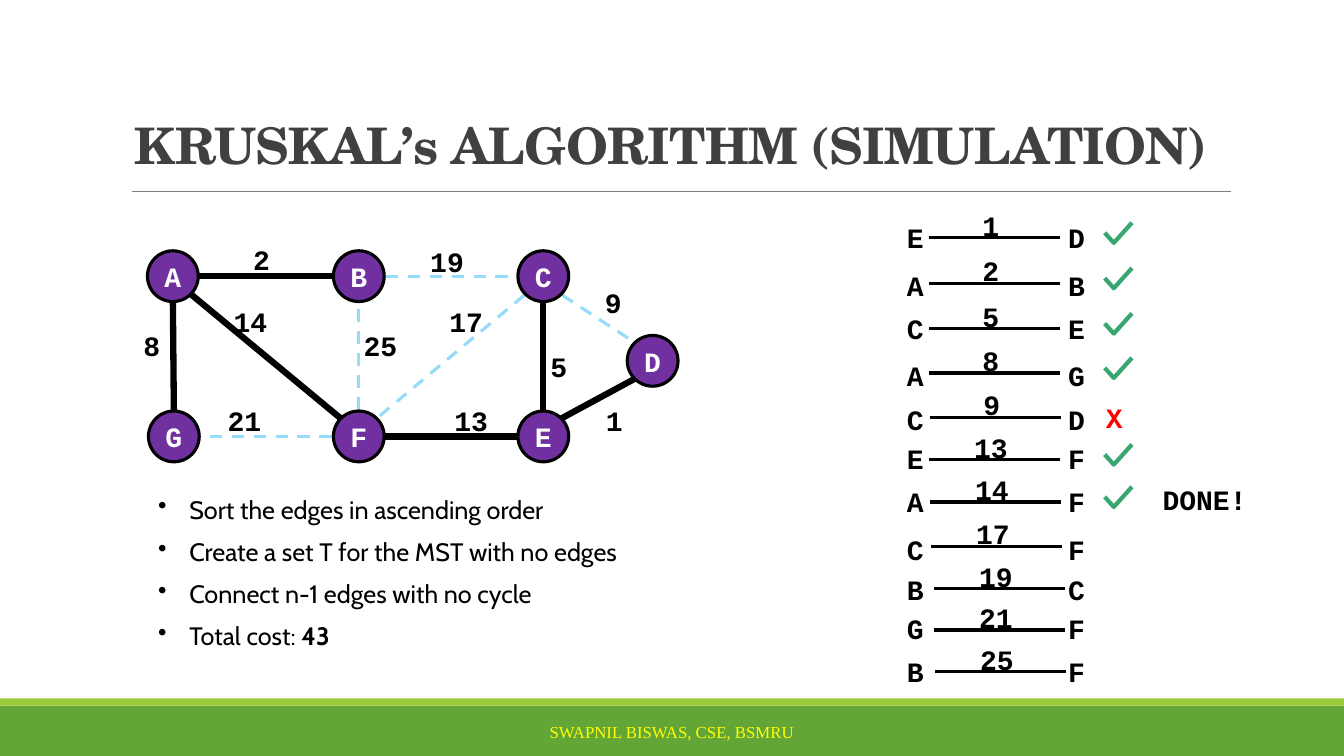
import math

import pptx
import pptx.dml.color
import pptx.enum.dml
import pptx.enum.shapes
import pptx.enum.text
import pptx.util
from lxml import etree

RGBColor = pptx.dml.color.RGBColor
Align = pptx.enum.text.PP_ALIGN
Anchor = pptx.enum.text.MSO_ANCHOR
Shape = pptx.enum.shapes.MSO_SHAPE

BLACK = RGBColor(0x00, 0x00, 0x00)
WHITE = RGBColor(0xFF, 0xFF, 0xFF)
CHARCOAL = RGBColor(0x40, 0x40, 0x40)
GRAY = RGBColor(0x80, 0x80, 0x80)
GREEN = RGBColor(0x63, 0xA5, 0x37)
LIME = RGBColor(0x99, 0xCB, 0x38)
PURPLE = RGBColor(0x70, 0x30, 0xA0)
SKY = RGBColor(0x97, 0xDB, 0xFB)
TICK_GREEN = RGBColor(0x37, 0xA7, 0x6F)
RED = RGBColor(0xFF, 0x00, 0x00)
YELLOW = RGBColor(0xFF, 0xFF, 0x00)

# The grid has square cells, ten to the inch
COLUMNS, ROWS = 133.33, 75
NODE_SIZE = 5.04
LABEL_HEIGHT = 4.4

# Node centres as (column, row)
NODES = {
    "A": (17.15, 27.4), "B": (35.6, 27.4), "C": (53.9, 27.4),
    "D": (64.75, 35.8), "E": (53.9, 43.3), "F": (35.6, 43.3),
    "G": (17.25, 43.3),
}

# Graph edges: ends, weight, label centre, whether in the tree
EDGES = [
    ("AB", 2, (25.95, 25.75), True), ("BC", 19, (44.35, 25.95), False),
    ("CD", 9, (60.85, 30.05), False), ("ED", 1, (60.95, 41.75), True),
    ("CE", 5, (55.45, 36.35), True), ("FE", 13, (46.75, 41.75), True),
    ("CF", 17, (46.25, 31.95), False), ("FB", 25, (37.75, 34.25), False),
    ("AF", 14, (24.85, 31.95), True), ("AG", 8, (15.05, 34.25), True),
    ("FG", 21, (24.25, 41.75), False),
]

# Sorted edges: ends, weight, line start, line row, letter row, mark
SORTED_EDGES = [
    ("ED", 1, 92.2, 23.6, 23.6, "tick"), ("AB", 2, 92.2, 28.1, 28.3, "tick"),
    ("CE", 5, 92.2, 32.6, 32.6, "tick"), ("AG", 8, 92.2, 37.0, 37.3, "tick"),
    ("CD", 9, 92.3, 41.4, 41.6, "cross"), ("EF", 13, 92.2, 45.6, 45.5, "tick"),
    ("AF", 14, 92.3, 49.8, 49.8, "tick"), ("CF", 17, 92.4, 54.2, 54.5, ""),
    ("BC", 19, 92.7, 58.4, 58.5, ""), ("GF", 21, 92.7, 62.5, 62.4, ""),
    ("BF", 25, 92.8, 66.6, 66.6, ""),
]

STEPS = [
    [("Sort the edges in ascending order", False)],
    [("Create a set T for the MST with no edges", False)],
    [("Connect n-1 edges with no cycle", False)],
    [("Total cost: ", False), ("43", True)],
]


def grid(cells):
    return pptx.util.Inches(cells / 10)


class Page:
    """The current slide with the style of its elements."""

    title_font, body_font = "TeX Gyre Schola", "Cabin"
    label_font, footer_font = "Courier New", "Times New Roman"

    def __init__(self, deck):
        self.shapes = deck.slides.add_slide(deck.slide_layouts[6]).shapes

    def style(self, para, name, size, color, bold=False):
        font = para.font
        font.name, font.size, font.bold = name, pptx.util.Pt(size), bold
        font.color.rgb = color

    def shape(self, kind, left, top, width, height, fill):
        shape = self.shapes.add_shape(kind, *map(grid, (left, top, width, height)))
        shape.shadow.inherit = False
        shape.fill.solid()
        shape.fill.fore_color.rgb = fill
        shape.line.fill.background()
        return shape

    def text(self, left, top, width, height, words, name, size, color,
             bold=False, align=Align.LEFT, anchor=Anchor.TOP, wrap=True):
        box = self.shapes.add_textbox(*map(grid, (left, top, width, height)))
        frame = box.text_frame
        frame.word_wrap, frame.vertical_anchor = wrap, anchor
        para = frame.paragraphs[0]
        para.text, para.alignment = words, align
        self.style(para, name, size, color, bold)
        return para

    def label(self, column, row, words, color=BLACK):
        width = 2 + 1.67 * len(words)
        self.text(column - width / 2, row - LABEL_HEIGHT / 2, width, LABEL_HEIGHT,
                  words, self.label_font, 20, color, True, Align.CENTER, wrap=False)

    def line(self, start, end, color, weight, dashed=False):
        line = self.shapes.add_connector(pptx.enum.shapes.MSO_CONNECTOR.STRAIGHT,
                                         *map(grid, (*start, *end)))
        line.line.color.rgb, line.line.width = color, pptx.util.Pt(weight)
        if dashed:
            line.line.dash_style = pptx.enum.dml.MSO_LINE.DASH
        etree.SubElement(line._element.spPr, pptx.oxml.ns.qn("a:effectLst"))

    def edge(self, ends, in_tree):
        # Edges leave a node at the nearest eighth of its circle
        start, end = NODES[ends[0]], NODES[ends[1]]
        turn = math.atan2(end[1] - start[1], end[0] - start[0])
        turn = round(turn / (math.pi / 4)) * math.pi / 4
        reach = NODE_SIZE / 2 + (0 if in_tree else 0.15)
        across, down = reach * math.cos(turn), reach * math.sin(turn)
        self.line((start[0] + across, start[1] + down),
                  (end[0] - across, end[1] - down),
                  BLACK if in_tree else SKY, 4.5 if in_tree else 2.25, not in_tree)

    def node(self, name):
        column, row = NODES[name]
        node = self.shape(Shape.OVAL, column - NODE_SIZE / 2, row - NODE_SIZE / 2,
                          NODE_SIZE, NODE_SIZE, PURPLE)
        node.line.color.rgb, node.line.width = BLACK, pptx.util.Pt(2.25)
        frame = node.text_frame
        frame.margin_left = frame.margin_right = 0
        frame.margin_top = frame.margin_bottom = 0
        frame.word_wrap, frame.vertical_anchor = False, Anchor.MIDDLE
        para = frame.paragraphs[0]
        para.text, para.alignment = name, Align.CENTER
        self.style(para, self.label_font, 20, WHITE, True)

    def tick(self, column, row):
        outline = self.shapes.build_freeform(grid(column), grid(row - 0.5))
        outline.add_line_segments([(grid(column + 0.9), grid(row + 0.5)),
                                   (grid(column + 2.7), grid(row - 1.5))], close=False)
        tick = outline.convert_to_shape()
        tick.shadow.inherit = False
        tick.fill.background()
        tick.line.color.rgb, tick.line.width = TICK_GREEN, pptx.util.Pt(3)

    def bullets(self, left, top, width, height, items):
        box = self.shapes.add_textbox(*map(grid, (left, top, width, height)))
        frame = box.text_frame
        frame.word_wrap = True
        for index, item in enumerate(items):
            para = frame.add_paragraph() if index else frame.paragraphs[0]
            if index:
                para.space_before = pptx.util.Pt(8.5)
            properties = para._p.get_or_add_pPr()
            properties.set("marL", str(grid(3.1)))
            properties.set("indent", str(grid(-3.1)))
            bullet = etree.SubElement(properties, pptx.oxml.ns.qn("a:buChar"))
            bullet.set("char", "•")
            for words, bold in item:
                span = para.add_run()
                span.text = words
                if bold:
                    span.font.bold = True
            self.style(para, self.body_font, 18, BLACK)


def main():
    deck = pptx.Presentation()
    deck.slide_width, deck.slide_height = grid(COLUMNS), grid(ROWS)
    page = Page(deck)

    # Footer bands, title and rule
    page.shape(Shape.RECTANGLE, 0, 70, COLUMNS, 5, GREEN)
    page.shape(Shape.RECTANGLE, 0, 69.3, COLUMNS, 0.7, LIME)
    page.line((13.1, 19), (122.1, 19), GRAY, 0.5)
    title = page.text(12.4, 1.9, 114.6, 15.9, "KRUSKAL’s ALGORITHM (SIMULATION)",
                      page.title_font, 36, CHARCOAL, True, anchor=Anchor.BOTTOM)
    title.line_spacing = 0.85
    title.runs[0]._r.get_or_add_rPr().set("spc", "-50")
    page.text(40.3, 70.6, 52.7, 4, "SWAPNIL BISWAS, CSE, BSMRU", page.footer_font,
              12, YELLOW, align=Align.CENTER, anchor=Anchor.MIDDLE)

    # Graph
    for ends, weight, place, in_tree in EDGES:
        page.edge(ends, in_tree)
        page.label(*place, str(weight))
    for name in NODES:
        page.node(name)

    # Steps of the algorithm
    page.bullets(14.7, 48.5, 50.3, 16.6, STEPS)

    # Edges in ascending order
    for ends, weight, start, row, letter_row, mark in SORTED_EDGES:
        page.line((start, row), (start + 13, row), BLACK, 2.25)
        page.label(start + 6.1, row - 1.2, str(weight))
        page.label(90.8, letter_row, ends[0])
        page.label(106.8, letter_row, ends[1])
        if mark == "tick":
            page.tick(109.6, row)
        elif mark == "cross":
            page.label(110.55, row, "X", RED)
    page.label(119.5, 49.6, "DONE!")

    deck.save("out.pptx")


if __name__ == "__main__":
    main()
